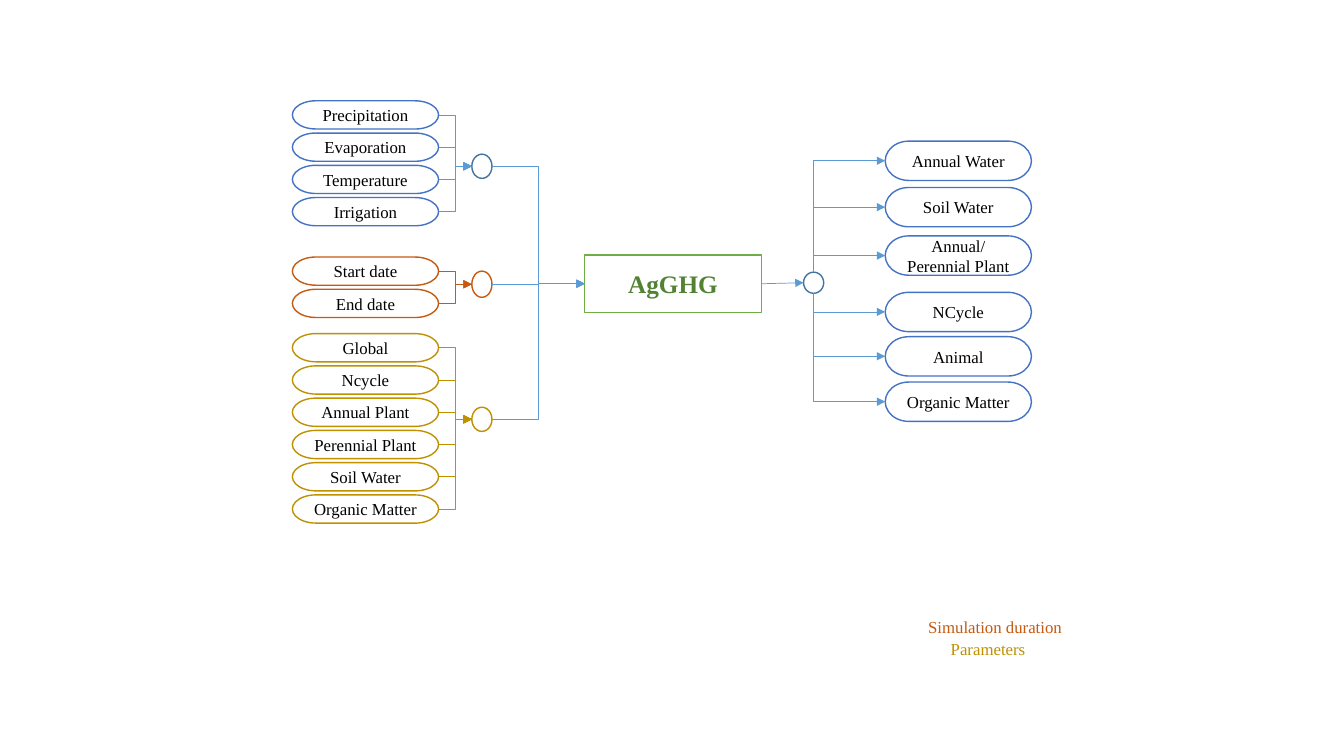
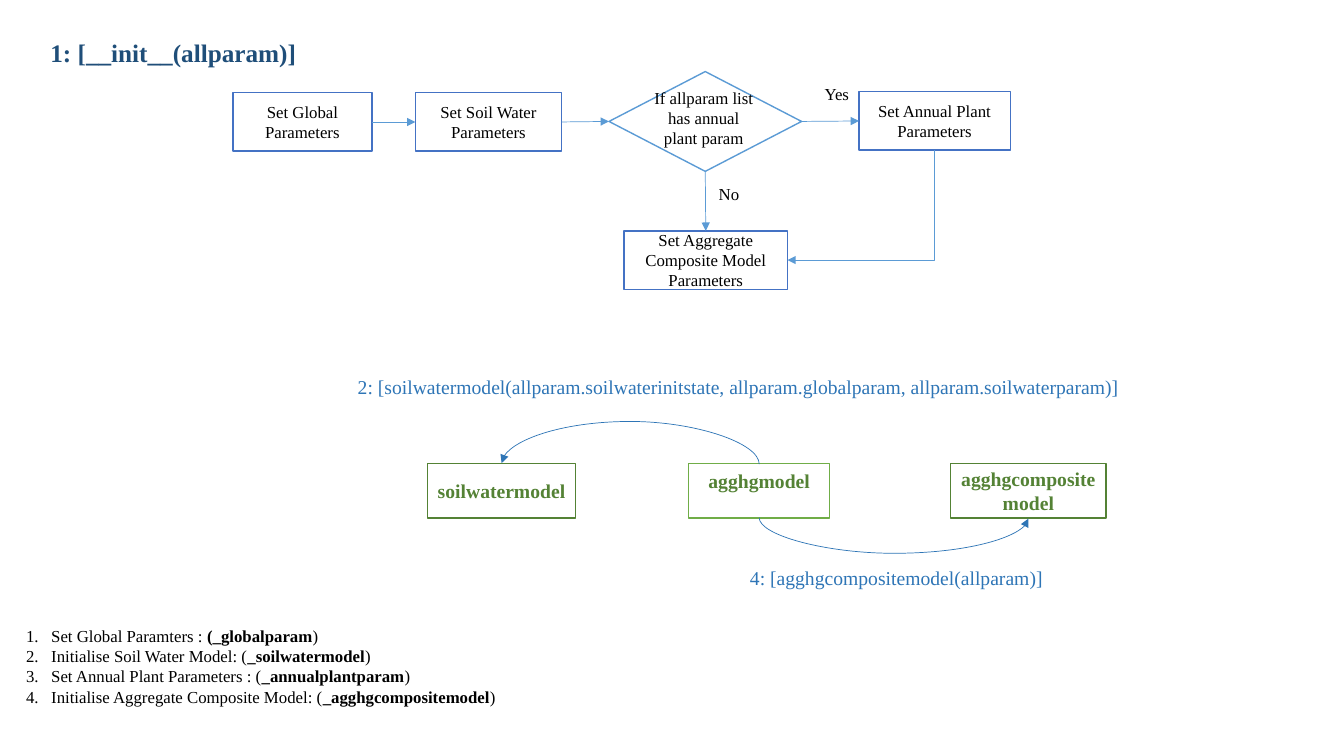
from dataclasses import dataclass
from typing import Optional

from lxml.etree import SubElement as Sub
from pptx import Presentation
from pptx.dml.color import RGBColor as Rgb
from pptx.enum.shapes import MSO_CONNECTOR as Link, MSO_SHAPE as Kind
from pptx.enum.text import MSO_ANCHOR as Anchor, MSO_AUTO_SIZE as Fit, PP_ALIGN as Align
from pptx.oxml.ns import qn
from pptx.shapes.autoshape import Shape
from pptx.shapes.connector import Connector
from pptx.slide import Slide
from pptx.text.text import TextFrame
from pptx.util import Inches, Pt


@dataclass(frozen=True)
class Theme:
    font: str = "Times New Roman"
    small: int = 12
    mid: int = 14
    large: int = 18
    black: str = "000000"
    white: str = "FFFFFF"
    blue: str = "4472C4"
    sky: str = "5B9BD5"
    steel: str = "43739E"
    call: str = "2E75B6"
    navy: str = "1F4E79"
    rust: str = "C55A11"
    gold: str = "BF9000"
    green: str = "70AD47"
    moss: str = "548235"


T = Theme()
TOP, LEFT, BOTTOM, RIGHT = range(4)


@dataclass(frozen=True)
class Style:
    size: int = T.small
    color: str = T.black
    bold: bool = False


PLAIN = Style()
STRONG = Style(bold=True)
CLASS = Style(T.mid, T.moss, True)
CALL = Style(T.mid, T.call)


@dataclass(frozen=True)
class Box:
    x: float
    y: float
    w: float
    h: float


@dataclass(frozen=True)
class Group:
    names: tuple[str, ...]
    top: float
    pitch: float
    color: str
    ring: Box
    edge: str
    wire: str


@dataclass(frozen=True)
class Label:
    text: str
    box: Box
    style: Style = PLAIN
    align: Align = Align.LEFT
    wrap: bool = False


GROUPS = (
    Group(("Precipitation", "Evaporation", "Temperature", "Irrigation"),
          1, 0.32, T.blue, Box(4.68, 1.53, 0.2, 0.24), T.steel, T.sky),
    Group(("Start date", "End date"),
          2.55, 0.32, T.rust, Box(4.68, 2.69, 0.2, 0.26), T.rust, T.rust),
    Group(("Global", "Ncycle", "Annual Plant", "Perennial Plant", "Soil Water",
           "Organic Matter"),
          3.31, 0.32, T.gold, Box(4.68, 4.04, 0.2, 0.24), T.gold, T.gold),
)
RESULTS = (
    ("Annual Water", 1.4), ("Soil Water", 1.86), ("Annual/Perennial Plant", 2.34),
    ("NCycle", 2.9), ("Animal", 3.34), ("Organic Matter", 3.79),
)
LEGEND = (
    Label("Simulation duration", Box(9.08, 6.07, 1.58, 0.3),
          Style(color=T.rust), Align.CENTER, True),
    Label("Parameters", Box(9.08, 6.29, 1.44, 0.3),
          Style(color=T.gold), Align.CENTER, True),
)
NOTES = (
    Label("If allparam list has annual plant param", Box(6.39, 0.82, 1.18, 0.91),
          PLAIN, Align.CENTER, True),
    Label("Yes", Box(8.08, 0.78, 0.45, 0.3)),
    Label("No", Box(7.03, 1.77, 0.41, 0.3)),
    Label("2: [soilwatermodel(allparam.soilwaterinitstate, "
          "allparam.globalparam, allparam.soilwaterparam)]",
          Box(3.45, 3.67, 7.97, 0.34), CALL),
    Label("4: [agghgcompositemodel(allparam)]", Box(7.34, 5.57, 3.23, 0.34), CALL),
)
STEPS = (
    (("Set Global Paramters : ", PLAIN), ("(_globalparam", STRONG), (")", PLAIN)),
    (("Initialise Soil Water Model: (", PLAIN), ("_soilwatermodel", STRONG), (")", PLAIN)),
    (("Set Annual Plant Parameters : (", PLAIN), ("_annualplantparam", STRONG), (")", PLAIN)),
    (("Initialise Aggregate Composite Model: (", PLAIN),
     ("_agghgcompositemodel", STRONG), (")", PLAIN)),
)


# Text
def add_run(para, text: str, style: Style) -> None:
    run = para.add_run()
    run.text = text
    font = run.font
    font.name, font.size, font.bold = T.font, Pt(style.size), style.bold
    font.color.rgb = Rgb.from_string(style.color)


def write(frame: TextFrame, text: str, style: Style, align: Align) -> None:
    para = frame.paragraphs[0]
    para.alignment = align
    add_run(para, text, style)


def add_text(slide: Slide, box: Box, wrap: bool) -> TextFrame:
    frame = slide.shapes.add_textbox(
        Inches(box.x), Inches(box.y), Inches(box.w), Inches(box.h)).text_frame
    frame.word_wrap = wrap
    frame.auto_size = Fit.SHAPE_TO_FIT_TEXT
    return frame


def add_label(slide: Slide, label: Label) -> None:
    frame = add_text(slide, label.box, label.wrap)
    write(frame, label.text, label.style, label.align)


def add_title(slide: Slide, text: str, box: Box) -> None:
    title = slide.shapes.title
    title.left, title.top = Inches(box.x), Inches(box.y)
    title.width, title.height = Inches(box.w), Inches(box.h)
    frame = title.text_frame
    frame.word_wrap, frame.auto_size = False, Fit.NONE
    frame.vertical_anchor = Anchor.TOP
    write(frame, text, Style(T.large, T.navy, True), Align.LEFT)


def add_steps(slide: Slide, box: Box) -> None:
    frame = add_text(slide, box, True)
    for i, parts in enumerate(STEPS):
        para = frame.add_paragraph() if i else frame.paragraphs[0]
        props = para._p.get_or_add_pPr()
        props.set("marL", str(Inches(0.25)))
        props.set("indent", str(Inches(-0.25)))
        Sub(props, qn("a:buFont"), typeface="+mj-lt")
        Sub(props, qn("a:buAutoNum"), type="arabicPeriod")
        for text, style in parts:
            add_run(para, text, style)


# Shapes
def add_node(slide: Slide, kind: Kind, box: Box, color: str, text: str = "",
             style: Style = PLAIN, fill: Optional[str] = T.white,
             anchor: Anchor = Anchor.MIDDLE) -> Shape:
    node = slide.shapes.add_shape(
        kind, Inches(box.x), Inches(box.y), Inches(box.w), Inches(box.h))
    node.shadow.inherit = False
    if fill:
        node.fill.solid()
        node.fill.fore_color.rgb = Rgb.from_string(fill)
    else:
        node.fill.background()
    node.line.color.rgb = Rgb.from_string(color)
    node.line.width = Pt(1)
    if text:
        node.text_frame.word_wrap = True
        node.text_frame.vertical_anchor = anchor
        write(node.text_frame, text, style, Align.CENTER)
    return node


def add_ring(slide: Slide, box: Box, color: str) -> Shape:
    return add_node(slide, Kind.OVAL, box, color, fill=None)


# Connectors
def join(slide: Slide, start: Shape, out: int, end: Shape, into: int,
         color: str = T.sky, kind: Link = Link.ELBOW, tip: str = "tailEnd") -> Connector:
    wire = slide.shapes.add_connector(kind, 0, 0, 0, 0)
    wire.begin_connect(start, out)
    wire.end_connect(end, into)
    # An oval has eight sites, so its four sides are every second one
    ends = wire.element.nvCxnSpPr.cNvCxnSpPr
    for node, site, glue in ((start, out, ends.stCxn), (end, into, ends.endCxn)):
        if node.auto_shape_type == Kind.OVAL:
            glue.set("idx", str(site * 2))
    wire.line.color.rgb = Rgb.from_string(color)
    wire.line.width = Pt(0.5)
    Sub(wire.line._get_or_add_ln(), qn(f"a:{tip}"), type="triangle")
    Sub(wire.element.spPr, qn("a:effectLst"))
    return wire


def corner(slide: Slide, start: Shape, out: int, end: Shape, into: int) -> None:
    # Drawn back from the target: level first, then upright
    wire = join(slide, end, into, start, out, tip="headEnd")
    wire.element.spPr.find(qn("a:prstGeom")).set("prst", "bentConnector2")


def arc(slide: Slide, start: Shape, end: Shape, side: int, depth: float) -> None:
    wire = join(slide, start, side, end, side, T.call, Link.CURVE)
    span = abs(wire.end_x - wire.begin_x)
    mid, level = (wire.begin_x + wire.end_x) // 2, wire.begin_y
    thin = Inches(0.01)
    wire.left, wire.top = mid - thin // 2, level - span // 2
    wire.width, wire.height = thin, span
    frame = wire.element.spPr.find(qn("a:xfrm"))
    frame.set("rot", "16200000")
    frame.set("flipH", str(int(side == BOTTOM)))
    frame.set("flipV", str(int(side == TOP)))
    shape = wire.element.spPr.find(qn("a:prstGeom"))
    guides = shape.find(qn("a:avLst"))
    if guides is None:
        guides = Sub(shape, qn("a:avLst"))
    ratio = round(Inches(depth) / thin * 100000)
    Sub(guides, qn("a:gd"), name="adj1", fmla=f"val {ratio}")


# Slides
def draw_model(slide: Slide) -> None:
    core = add_node(slide, Kind.RECTANGLE, Box(5.8, 2.53, 1.75, 0.57), T.green,
                    "AgGHG", Style(T.large, T.moss, True))
    # Inputs
    for group in GROUPS:
        ring = add_ring(slide, group.ring, group.edge)
        for i, name in enumerate(group.names):
            box = Box(2.9, group.top + i * group.pitch, 1.45, 0.28)
            pill = add_node(slide, Kind.FLOWCHART_TERMINATOR, box, group.color, name)
            join(slide, pill, RIGHT, ring, LEFT, group.wire)
        join(slide, ring, RIGHT, core, LEFT)
    # Outputs
    hub = add_ring(slide, Box(7.97, 2.7, 0.2, 0.21), T.steel)
    join(slide, core, RIGHT, hub, LEFT, kind=Link.STRAIGHT)
    for name, top in RESULTS:
        pill = add_node(slide, Kind.FLOWCHART_TERMINATOR, Box(8.78, top, 1.45, 0.39),
                        T.blue, name)
        corner(slide, hub, TOP if top < 2.7 else BOTTOM, pill, LEFT)
    for label in LEGEND:
        add_label(slide, label)


def draw_init(slide: Slide) -> None:
    add_title(slide, "1: [__init__(allparam)]", Box(0.4, 0.32, 2.74, 0.4))

    def step(text: str, x: float, y: float, w: float) -> Shape:
        return add_node(slide, Kind.RECTANGLE, Box(x, y, w, 0.58), T.blue, text)

    def model(text: str, x: float, w: float, color: str, anchor: Anchor) -> Shape:
        return add_node(slide, Kind.RECTANGLE, Box(x, 4.6, w, 0.54), color,
                        text, CLASS, anchor=anchor)

    # Flow chart
    world = step("Set Global Parameters", 2.31, 0.92, 1.38)
    soil = step("Set Soil Water Parameters", 4.12, 0.92, 1.45)
    plant = step("Set Annual Plant Parameters", 8.52, 0.91, 1.5)
    whole = step("Set Aggregate Composite Model Parameters", 6.19, 2.29, 1.62)
    test = add_node(slide, Kind.FLOWCHART_DECISION, Box(6.04, 0.71, 1.91, 0.99), T.sky)
    for start, end in ((world, soil), (soil, test), (test, plant)):
        join(slide, start, RIGHT, end, LEFT, kind=Link.STRAIGHT)
    join(slide, test, BOTTOM, whole, TOP, kind=Link.STRAIGHT)
    corner(slide, plant, BOTTOM, whole, RIGHT)

    # Class calls
    water = model("soilwatermodel", 4.24, 1.47, T.moss, Anchor.MIDDLE)
    main_box = model("agghgmodel", 6.83, 1.4, T.green, Anchor.TOP)
    blend = model("agghgcompositemodel", 9.43, 1.54, T.moss, Anchor.MIDDLE)
    arc(slide, main_box, water, TOP, 0.43)
    arc(slide, main_box, blend, BOTTOM, 0.36)

    for label in NOTES:
        add_label(slide, label)
    add_steps(slide, Box(0.16, 6.16, 5.06, 0.91))


def main() -> None:
    deck = Presentation()
    deck.slide_width, deck.slide_height = Inches(13.33), Inches(7.5)
    draw_model(deck.slides.add_slide(deck.slide_layouts[6]))
    draw_init(deck.slides.add_slide(deck.slide_layouts[5]))
    deck.save("out.pptx")


if __name__ == "__main__":
    main()
